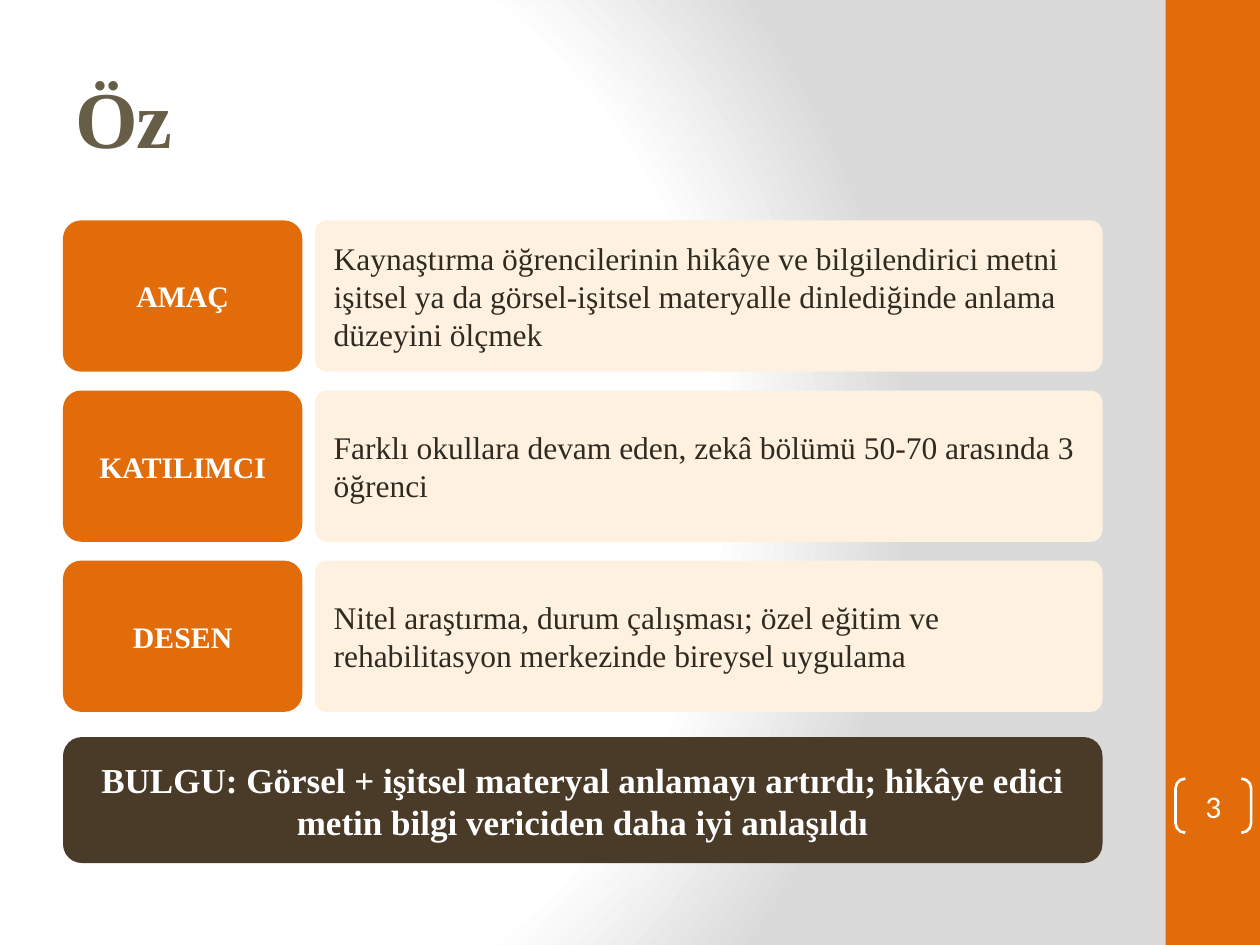
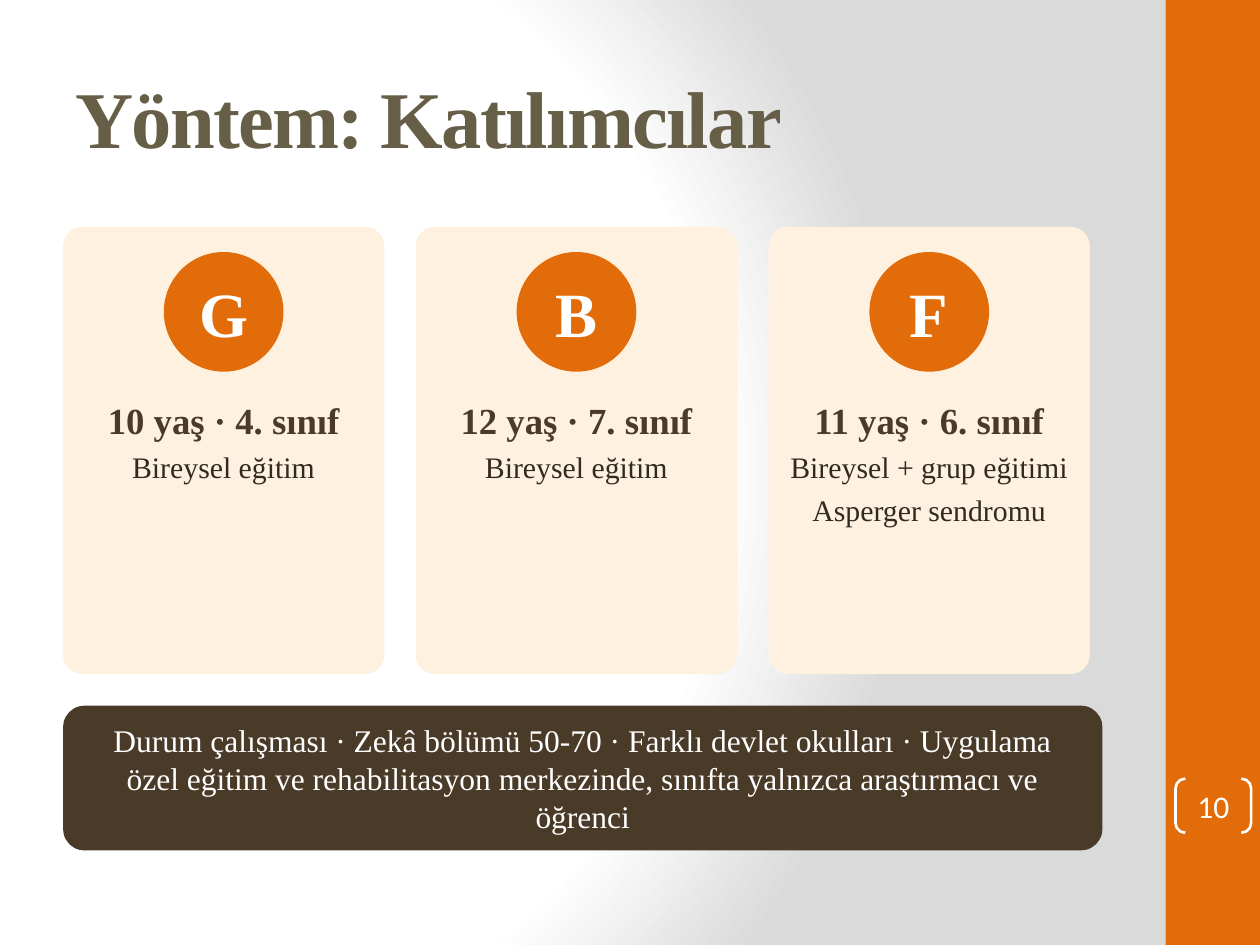
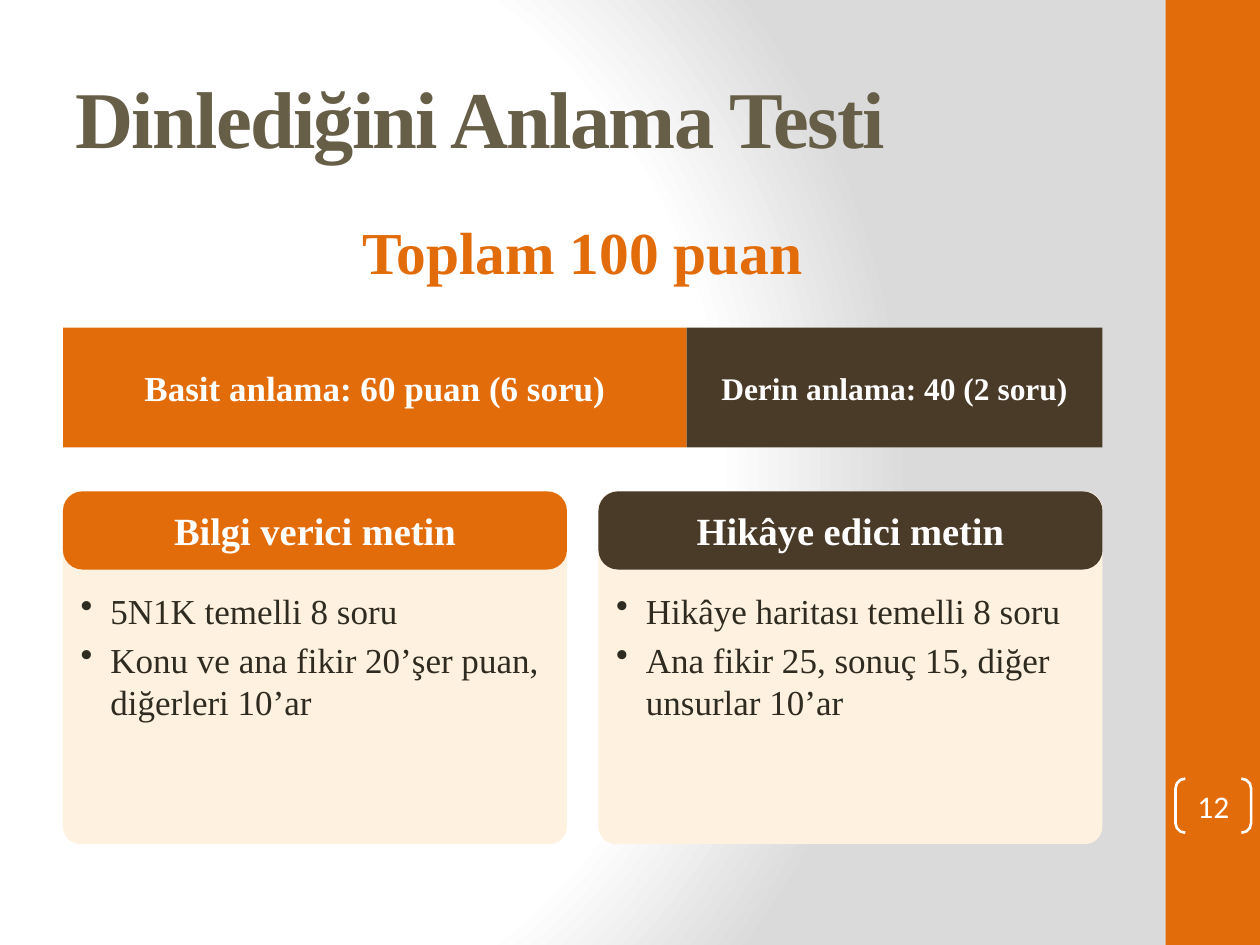
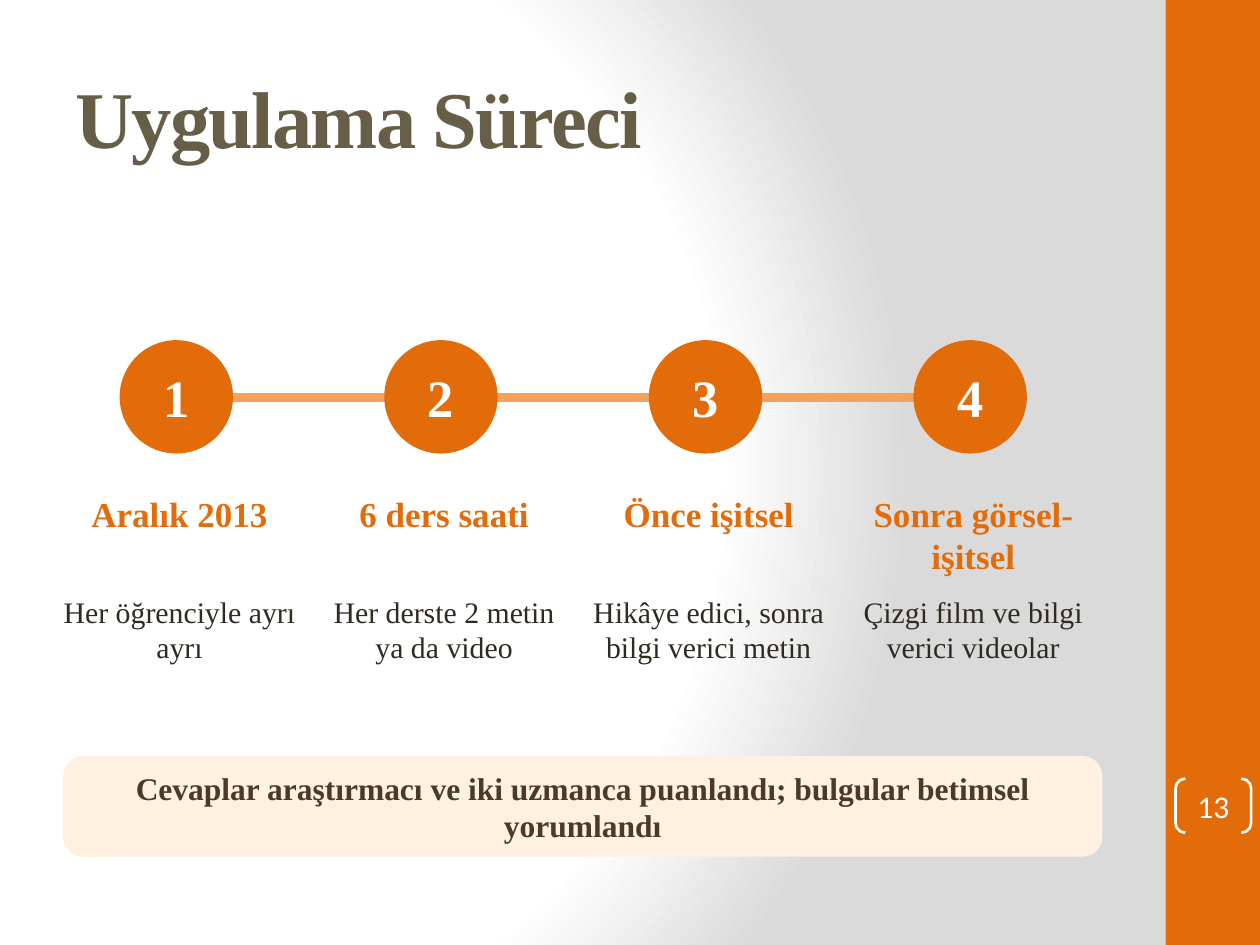
from pptx import Presentation
from pptx.dml.color import RGBColor
from pptx.enum.shapes import MSO_SHAPE
from pptx.enum.text import MSO_ANCHOR, MSO_AUTO_SIZE, PP_ALIGN
from pptx.oxml import parse_xml
from pptx.oxml.ns import nsdecls
from pptx.util import Pt
from lxml import etree

RECT, ROUND = MSO_SHAPE.RECTANGLE, MSO_SHAPE.ROUNDED_RECTANGLE
CIRCLE, BRACKETS = MSO_SHAPE.OVAL, MSO_SHAPE.DOUBLE_BRACKET
LEFT, CENTER = PP_ALIGN.LEFT, PP_ALIGN.CENTER
TOP, MIDDLE = MSO_ANCHOR.TOP, MSO_ANCHOR.MIDDLE
NO_FIT = MSO_AUTO_SIZE.NONE

# Shared look; all lengths are points
ORANGE, BROWN, CREAM, PEACH = "E36C0A", "4A3A28", "FFF1E0", "F4A259"
WHITE, INK, OLIVE, GREY = "FFFFFF", "2F2B20", "675E47", "DADADA"
SERIF, SANS = "Times New Roman", "Calibri"
EDGE, WIDTH = 36, 594
BOX_INSETS = (8.64, 4.32)
TEXT_INSETS = (3.6, 4.32)
CIRCLE_INSETS = (1.44, 4.32)
BULLET_INDENT = 17


def rgb(color):
    return RGBColor.from_string(color)


def style(size, color=INK, bold=False, name=SERIF):
    return {"size": Pt(size), "bold": bold, "name": name, "color": color}


def format_font(font, values):
    for key, value in values.items():
        if key == "color":
            font.color.rgb = rgb(value)
        else:
            setattr(font, key, value)


def add_bullet(para):
    properties = para._p.get_or_add_pPr()
    properties.set("marL", str(Pt(BULLET_INDENT)))
    properties.set("indent", str(-Pt(BULLET_INDENT)))
    properties.append(parse_xml(f'<a:buChar {nsdecls("a")} char="•"/>'))


def write(box, lines, insets, align=CENTER, anchor=MIDDLE, after=4, bullets=False):
    """Fill a box with paragraphs, given as (text, style) pairs."""
    frame = box.text_frame
    side, end = insets
    values = {"word_wrap": True, "auto_size": NO_FIT, "vertical_anchor": anchor,
              "margin_left": Pt(side), "margin_right": Pt(side),
              "margin_top": Pt(end), "margin_bottom": Pt(end)}
    for key, value in values.items():
        setattr(frame, key, value)
    for index, (text, look) in enumerate(lines):
        para = frame.add_paragraph() if index else frame.paragraphs[0]
        para.alignment, para.space_after = align, Pt(after)
        if bullets:
            add_bullet(para)
        span = para.add_run()
        span.text = text
        format_font(span.font, look)


def add_box(slide, kind, place, fill=None, text=None, look=None, corner=None,
            insets=BOX_INSETS, align=CENTER, after=4):
    box = slide.shapes.add_shape(kind, *map(Pt, place))
    box.shadow.inherit = False
    box.line.fill.background()
    if fill:
        box.fill.solid()
        box.fill.fore_color.rgb = rgb(fill)
    else:
        box.fill.background()
    if corner is not None:
        box.adjustments[0] = corner
    if text:
        write(box, [(text, look)], insets, align, after=after)
    return box


def add_text(slide, place, lines, insets=TEXT_INSETS, **options):
    box = slide.shapes.add_textbox(*map(Pt, place))
    write(box, lines, insets, anchor=TOP, **options)


def add_circle(slide, left, top, size, text, text_size):
    add_box(slide, CIRCLE, (left, top, size, size), ORANGE, text,
            style(text_size, WHITE, True), insets=CIRCLE_INSETS)


def set_background(layout):
    stops = "".join(
        f'<a:gs pos="{place * 1000}"><a:srgbClr val="{color}"/></a:gs>'
        for place, color in ((0, WHITE), (75, WHITE), (100, GREY)))
    background = parse_xml(
        f'<p:bg {nsdecls("p", "a")}><p:bgPr><a:gradFill rotWithShape="1">'
        f'<a:gsLst>{stops}</a:gsLst><a:path path="circle">'
        '<a:fillToRect l="20000" t="50000" r="100000" b="50000"/></a:path>'
        '</a:gradFill><a:effectLst/></p:bgPr></p:bg>')
    layout._element.cSld.insert(0, background)


def add_side_band(slide, layout):
    """Draw the band, then move it to the layout that all slides share."""
    band = add_box(slide, RECT, (666, 0, 54, 540), ORANGE)
    layout.shapes._spTree.append(band._element)


def add_slide(deck, layout, title, number):
    slide = deck.slides.add_slide(layout)
    heading = slide.shapes.title
    for key, value in zip(("left", "top", "width", "height"), (EDGE, 21.6, 600, 90)):
        setattr(heading, key, Pt(value))
    write(heading, [(title, style(46, OLIVE, True))], (7.2, 3.6), LEFT, after=0)
    heading.text_frame.paragraphs[0].runs[0].font._element.set("spc", "-100")
    # Slide number between brackets
    badge = add_box(slide, BRACKETS, (671.76, 444.96, 43.2, 30.96), None, str(number),
                    style(18, WHITE, name=SANS), 0.18, (0, 0), after=0)
    badge.line.color.rgb = rgb(WHITE)
    badge.line.width = Pt(1.5)
    return slide


def fill_summary(slide):
    rows = (
        ("AMAÇ", "Kaynaştırma öğrencilerinin hikâye ve bilgilendirici metni işitsel "
                 "ya da görsel-işitsel materyalle dinlediğinde anlama düzeyini ölçmek"),
        ("KATILIMCI", "Farklı okullara devam eden, zekâ bölümü 50-70 arasında 3 öğrenci"),
        ("DESEN", "Nitel araştırma, durum çalışması; özel eğitim ve rehabilitasyon "
                  "merkezinde bireysel uygulama"))
    for index, (label, description) in enumerate(rows):
        top = 126 + 97.2 * index
        add_box(slide, ROUND, (EDGE, top, 136.8, 86.4), ORANGE, label,
                style(17, WHITE, True), 0.12)
        add_box(slide, ROUND, (180, top, 450, 86.4), CREAM, description,
                style(18), 0.08, align=LEFT)
    add_box(slide, ROUND, (EDGE, 421.2, WIDTH, 72), BROWN,
            "BULGU: Görsel + işitsel materyal anlamayı artırdı; hikâye edici metin "
            "bilgi vericiden daha iyi anlaşıldı", style(20, WHITE, True), 0.15)


def fill_participants(slide):
    participants = (
        ("G", "10 yaş · 4. sınıf", ["Bireysel eğitim"]),
        ("B", "12 yaş · 7. sınıf", ["Bireysel eğitim"]),
        ("F", "11 yaş · 6. sınıf", ["Bireysel + grup eğitimi", "Asperger sendromu"]))
    for index, (initial, age, details) in enumerate(participants):
        left = EDGE + 201.6 * index
        add_box(slide, ROUND, (left, 129.6, 183.6, 255.6), CREAM, corner=0.06)
        add_circle(slide, left + 57.6, 144, 68.4, initial, 36)
        lines = [(age, style(21, BROWN, True))]
        lines += [(detail, style(17)) for detail in details]
        add_text(slide, (left + 3.6, 223.2, 176.4, 151.2), lines)
    add_box(slide, ROUND, (EDGE, 403.2, WIDTH, 82.8), BROWN,
            "Durum çalışması · Zekâ bölümü 50-70 · Farklı devlet okulları · Uygulama "
            "özel eğitim ve rehabilitasyon merkezinde, sınıfta yalnızca araştırmacı "
            "ve öğrenci", style(18, WHITE), 0.15)


def fill_test(slide):
    add_text(slide, (EDGE, 118.8, WIDTH, 64.8),
             [("Toplam 100 puan", style(34, ORANGE, True))])
    # Score bar, each part as wide as its share of the points
    left = EDGE
    for points, color, label, size in (
            (60, ORANGE, "Basit anlama: 60 puan (6 soru)", 20),
            (40, BROWN, "Derin anlama: 40 (2 soru)", 18)):
        width = WIDTH * points / 100
        add_box(slide, RECT, (left, 187.2, width, 68.4), color, label,
                style(size, WHITE, True))
        left += width
    # Text type cards
    cards = (
        ("Bilgi verici metin", ORANGE,
         ("5N1K temelli 8 soru", "Konu ve ana fikir 20’şer puan, diğerleri 10’ar")),
        ("Hikâye edici metin", BROWN,
         ("Hikâye haritası temelli 8 soru",
          "Ana fikir 25, sonuç 15, diğer unsurlar 10’ar")))
    for index, (heading, color, items) in enumerate(cards):
        left = EDGE + 306 * index
        add_box(slide, ROUND, (left, 280.8, 288, 201.6), CREAM, corner=0.05)
        add_box(slide, ROUND, (left, 280.8, 288, 44.64), color, heading,
                style(22, WHITE, True), 0.25)
        add_text(slide, (left + 5.76, 332.64, 276.48, 144),
                 [(item, style(20)) for item in items], (4.32, 4.32),
                 align=LEFT, bullets=True)


def fill_process(slide):
    add_box(slide, RECT, (75.6, 224.64, 511.2, 5.04), PEACH)
    steps = (
        ("Aralık 2013", "Her öğrenciyle ayrı ayrı"),
        ("6 ders saati", "Her derste 2 metin ya da video"),
        ("Önce işitsel", "Hikâye edici, sonra bilgi verici metin"),
        ("Sonra görsel-işitsel", "Çizgi film ve bilgi verici videolar"))
    for index, (heading, description) in enumerate(steps):
        left = 32.4 + 151.2 * index
        add_circle(slide, left + 36, 194.4, 64.8, str(index + 1), 30)
        add_text(slide, (left, 277.2, 140.4, 64.8), [(heading, style(20, ORANGE, True))])
        add_text(slide, (left, 334.8, 140.4, 100.8), [(description, style(17))])
    add_box(slide, ROUND, (EDGE, 432, WIDTH, 57.6), CREAM,
            "Cevaplar araştırmacı ve iki uzmanca puanlandı; bulgular betimsel yorumlandı",
            style(18, BROWN, True), 0.2)


def main():
    deck = Presentation()
    deck.slide_width, deck.slide_height = Pt(720), Pt(540)
    layout = deck.slide_layouts[5]
    set_background(layout)
    pages = (
        ("Öz", 3, fill_summary),
        ("Yöntem: Katılımcılar", 10, fill_participants),
        ("Dinlediğini Anlama Testi", 12, fill_test),
        ("Uygulama Süreci", 13, fill_process))
    for title, number, fill_page in pages:
        fill_page(add_slide(deck, layout, title, number))
    add_side_band(deck.slides[0], layout)
    deck.save("out.pptx")


if __name__ == "__main__":
    main()
